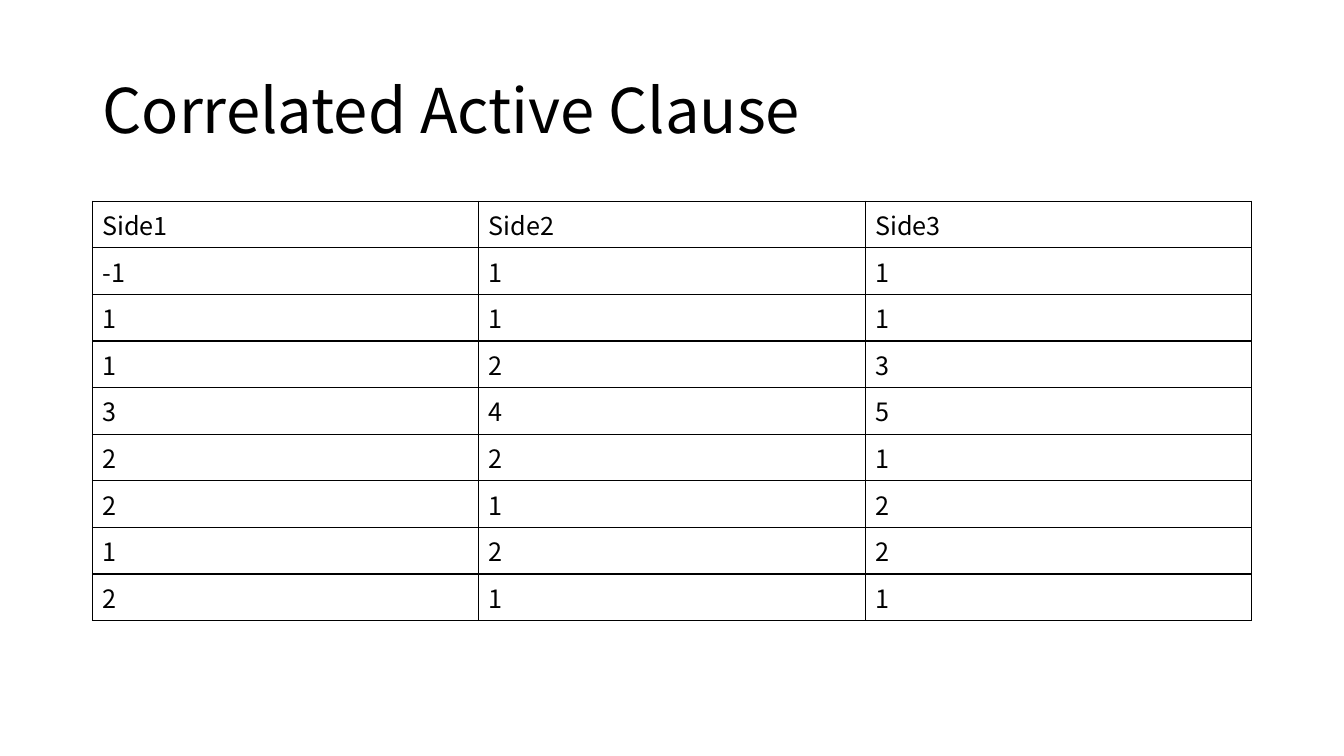
from lxml.etree import SubElement
from pptx import Presentation
from pptx.dml.color import RGBColor
from pptx.enum.text import MSO_ANCHOR, PP_ALIGN
from pptx.oxml.ns import qn
from pptx.util import Pt

COLORS = {"text": "000000", "border": "000000", "background": "FFFFFF"}
FONT = "Noto Sans CJK SC"
LEFT, WIDTH = 66, 828
ROW_HEIGHT = 29.2
SIDES = [
    ("Side1", "Side2", "Side3"),
    (-1, 1, 1),
    (1, 1, 1),
    (1, 2, 3),
    (3, 4, 5),
    (2, 2, 1),
    (2, 1, 2),
    (1, 2, 2),
    (2, 1, 1),
]


def write(frame, text, *, size, anchor=MSO_ANCHOR.TOP, spacing=1.0):
    frame.word_wrap = True
    frame.vertical_anchor = anchor
    paragraph = frame.paragraphs[0]
    paragraph.alignment = PP_ALIGN.LEFT
    paragraph.line_spacing = spacing
    run = paragraph.add_run()
    run.text = text
    run.font.size = Pt(size)
    run.font.name = FONT
    run.font.color.rgb = RGBColor.from_string(COLORS["text"])


def add_borders(cell, width=1):
    properties = cell._tc.get_or_add_tcPr()
    for edge in ("a:lnL", "a:lnR", "a:lnT", "a:lnB"):
        line = SubElement(properties, qn(edge), w=str(Pt(width)))
        fill = SubElement(line, qn("a:solidFill"))
        SubElement(fill, qn("a:srgbClr"), val=COLORS["border"])


def add_title(slide, text):
    title = slide.shapes.title
    title.left, title.top = Pt(LEFT), Pt(28.75)
    title.width, title.height = Pt(WIDTH), Pt(104.4)
    write(title.text_frame, text, size=44, anchor=MSO_ANCHOR.MIDDLE, spacing=0.9)


def add_grid(slide, rows):
    """Add a plain bordered table with equal columns and rows."""
    grid = slide.shapes.add_table(
        len(rows), len(rows[0]), Pt(LEFT), Pt(143.75),
        Pt(WIDTH), Pt(ROW_HEIGHT * len(rows)),
    ).table
    grid.first_row = grid.horz_banding = False
    for row, values in enumerate(rows):
        grid.rows[row].height = Pt(ROW_HEIGHT)
        for column, value in enumerate(values):
            cell = grid.cell(row, column)
            write(cell.text_frame, str(value), size=18)
            add_borders(cell)
            cell.fill.background()


def main():
    deck = Presentation()
    deck.slide_width, deck.slide_height = Pt(960), Pt(540)
    slide = deck.slides.add_slide(deck.slide_layouts[5])
    slide.background.fill.solid()
    slide.background.fill.fore_color.rgb = RGBColor.from_string(COLORS["background"])
    add_title(slide, "Correlated Active Clause")
    add_grid(slide, SIDES)
    deck.save("out.pptx")


if __name__ == "__main__":
    main()
